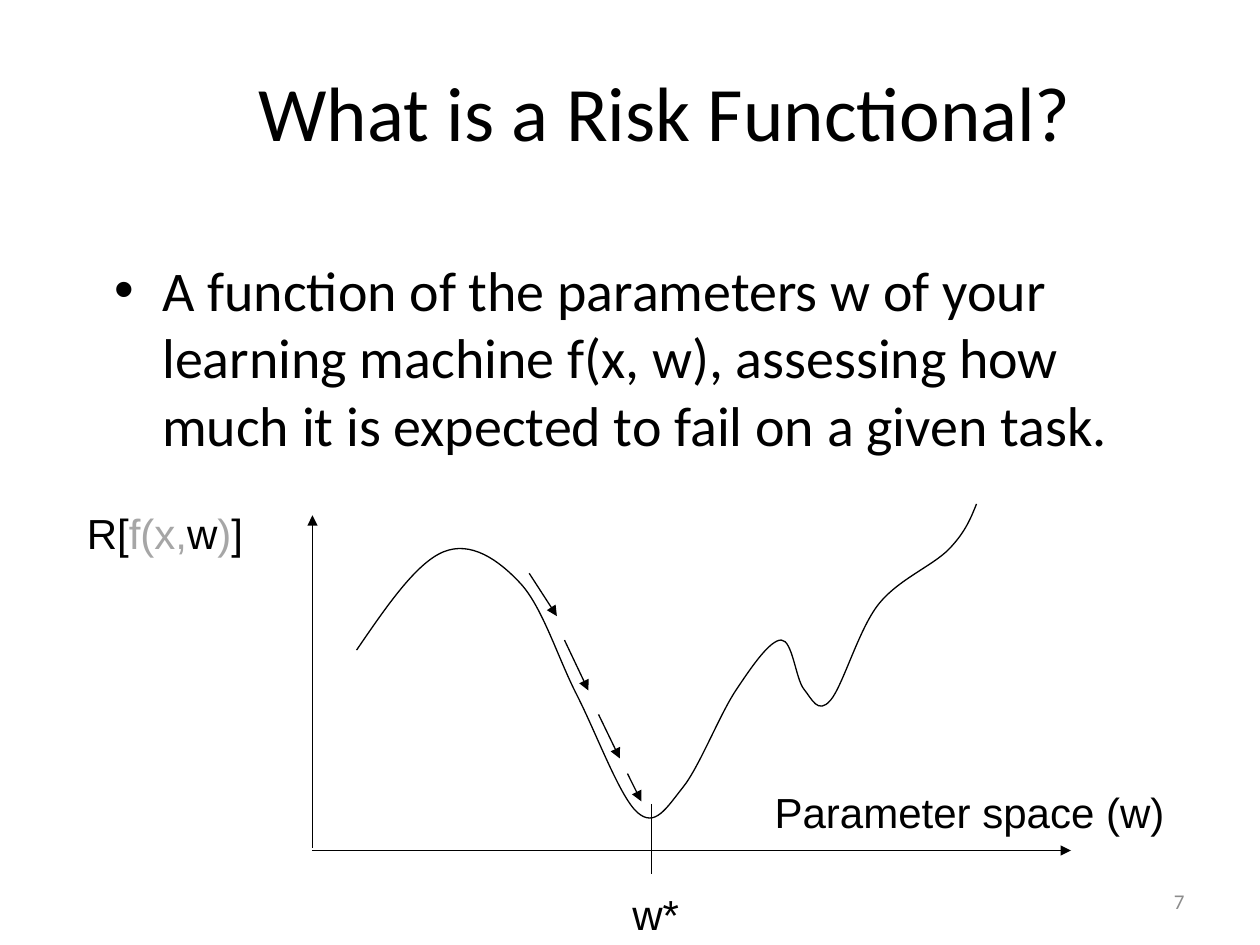
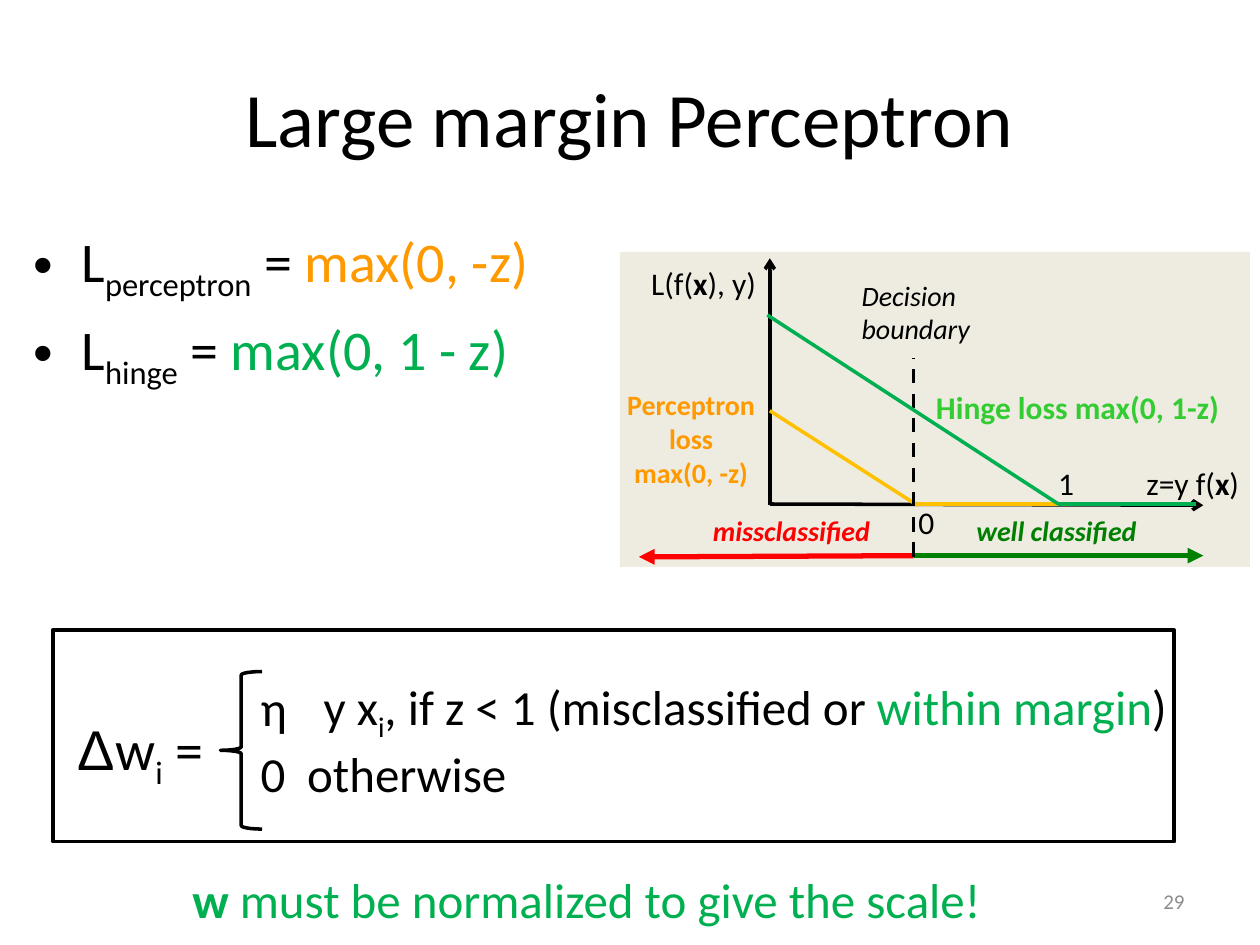
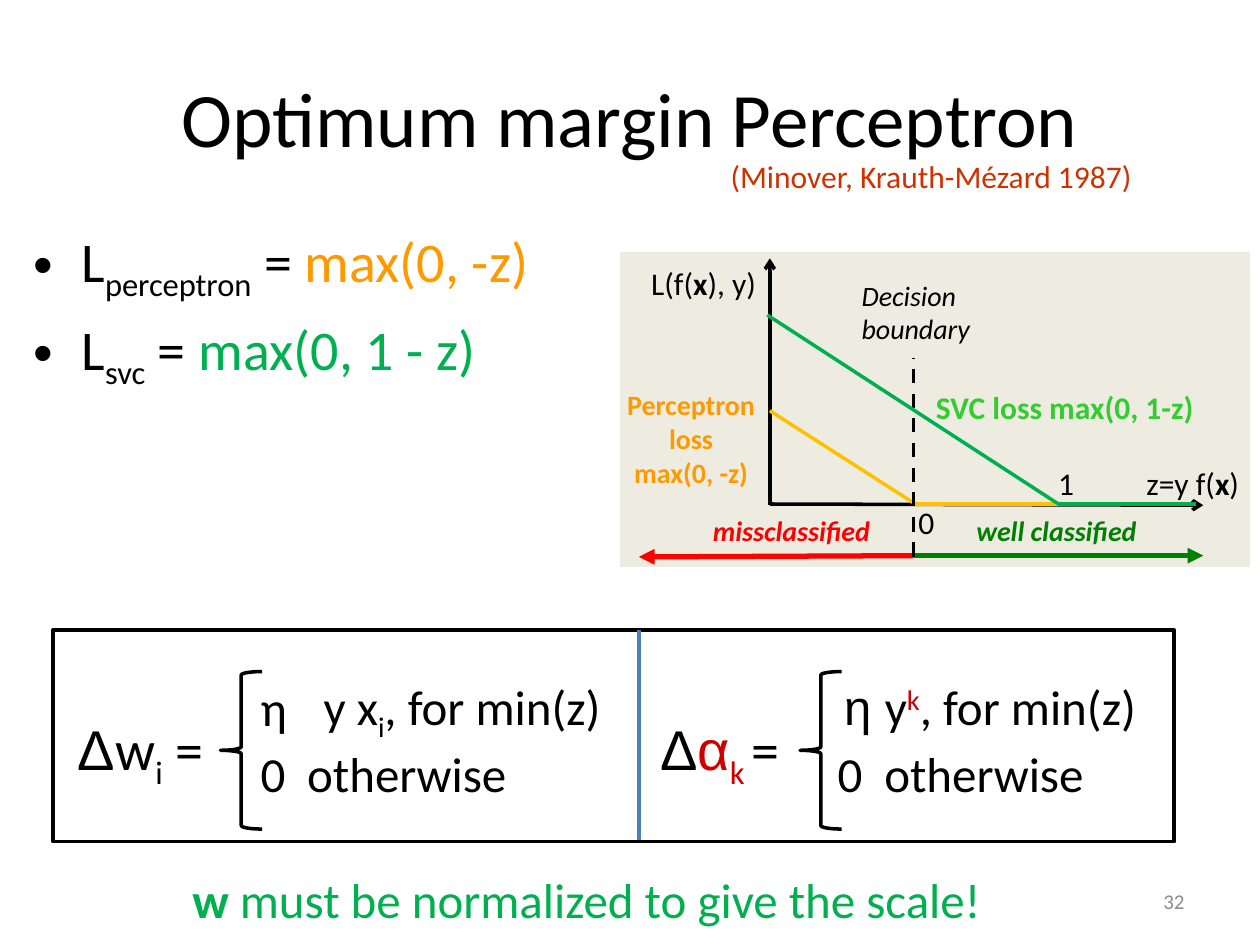
from itertools import pairwise

from lxml.etree import SubElement
from pptx import Presentation
from pptx.dml.color import RGBColor
from pptx.enum.dml import MSO_LINE
from pptx.enum.shapes import MSO_CONNECTOR, MSO_SHAPE
from pptx.enum.text import MSO_ANCHOR, PP_ALIGN
from pptx.oxml.ns import qn
from pptx.util import Inches, Pt

BLACK = RGBColor(0, 0, 0)
GRAY = RGBColor(0x8C, 0x8C, 0x8C)
PALE = RGBColor(0xA6, 0xA6, 0xA6)
CREAM = RGBColor(0xEE, 0xEC, 0xE1)
ORANGE = RGBColor(0xFF, 0x99, 0x00)
GOLD = RGBColor(0xFF, 0xC0, 0x00)
GREEN = RGBColor(0x00, 0xB0, 0x50)
LIME = RGBColor(0x33, 0xCC, 0x33)
FOREST = RGBColor(0x00, 0x80, 0x00)
RED = RGBColor(0xFF, 0, 0)
CRIMSON = RGBColor(0xCC, 0, 0)
RUST = RGBColor(0xCC, 0x33, 0)
BLUE = RGBColor(0x4B, 0x7E, 0xBC)
SANS = "Calibri"
PLAIN = "Arial"
KNOTS = [(2.83, 5.16), (3.52, 4.38), (4.13, 4.63), (4.58, 5.52),
         (5.06, 6.45), (5.42, 6.25), (5.84, 5.48), (6.2, 5.08),
         (6.38, 5.47), (6.59, 5.56), (6.97, 4.8), (7.53, 4.36), (7.75, 4)]
STEPS = [((4.2, 4.55), (4.42, 4.89)), ((4.48, 5.08), (4.67, 5.48)),
         ((4.75, 5.67), (4.92, 6.02)), ((4.98, 6.14), (5.09, 6.36))]


def tint(text, color):
    return text, {"color": color}


def bold(text):
    return text, {"bold": True}


def sub(text, color=None):
    return text, {"base": -25, "color": color}


def plain(text, color=None):
    return text, {"face": PLAIN, "color": color}


def style(font, size=None, color=None, face=None, bold=None, italic=None):
    if size:
        font.size = Pt(size)
    if color is not None:
        font.color.rgb = color
    if face:
        font.name = face
    if bold is not None:
        font.bold = bold
    if italic is not None:
        font.italic = italic


def fill_para(para, parts, align=PP_ALIGN.LEFT, **look):
    para.alignment = align
    style(para.font, **look)
    for part in [parts] if isinstance(parts, str) else parts:
        if part == "\n":
            para.add_line_break()
            continue
        text, extra = (part, {}) if isinstance(part, str) else part
        run = para.add_run()
        run.text = text
        style(run.font, **{k: v for k, v in extra.items() if k != "base"})
        if "base" in extra:
            run._r.get_or_add_rPr().set("baseline", str(extra["base"] * 1000))


def add_text(slide, place, *paras, size=18, color=BLACK, face=SANS,
             anchor=MSO_ANCHOR.TOP, **look):
    frame = slide.shapes.add_textbox(*map(Inches, place)).text_frame
    frame.word_wrap = True
    frame.vertical_anchor = anchor
    for i, parts in enumerate(paras):
        para = frame.add_paragraph() if i else frame.paragraphs[0]
        fill_para(para, parts, size=size, color=color, face=face, **look)
    return frame.paragraphs


def put(para, tag):
    props = para._p.get_or_add_pPr()
    item = SubElement(props, qn(tag))
    props.find(qn("a:defRPr")).addprevious(item)
    return item


def indent(para, left, hang, mark=None, face=PLAIN):
    props = para._p.get_or_add_pPr()
    props.set("marL", str(Inches(left)))
    props.set("indent", str(-Inches(hang)))
    if mark:
        put(para, "a:buFont").set("typeface", face)
        put(para, "a:buChar").set("char", mark)


def set_tabs(para, *stops):
    tabs = put(para, "a:tabLst")
    for stop in stops:
        tab = SubElement(tabs, qn("a:tab"))
        tab.set("pos", str(Inches(stop)))
        tab.set("algn", "l")


def set_list(paras):
    for para in paras:
        para.space_before = Pt(6.4)
        indent(para, 0.38, 0.38, "•")


def add_line(slide, start, end, color=BLACK, width=2, head=None, dash=False):
    link = slide.shapes.add_connector(
        MSO_CONNECTOR.STRAIGHT, *map(Inches, (*start, *end)))
    link.line.color.rgb = color
    link.line.width = Pt(width)
    if dash:
        link.line.dash_style = MSO_LINE.DASH
    if head:
        SubElement(link.line._get_or_add_ln(), qn("a:tailEnd")).set("type", head)
    SubElement(link._element.spPr, qn("a:effectLst"))


def add_form(slide, kind, place, fill=None, line=None):
    shape = slide.shapes.add_shape(kind, *map(Inches, place))
    paint(shape, fill, line)


def paint(shape, fill=None, line=None, width=2):
    shape.shadow.inherit = False
    if fill is None:
        shape.fill.background()
    else:
        shape.fill.solid()
        shape.fill.fore_color.rgb = fill
    if line is None:
        shape.line.fill.background()
    else:
        shape.line.color.rgb = line
        shape.line.width = Pt(width)


def slopes(vals):
    inner = [(c - a) / 2 for a, c in zip(vals, vals[2:])]
    first = 1.5 * (vals[1] - vals[0]) - inner[0] / 2
    last = 1.5 * (vals[-1] - vals[-2]) - inner[-1] / 2
    return [first, *inner, last]


def smooth(vals):
    points = [vals[0]]
    for (a, s), (b, t) in pairwise(zip(vals, slopes(vals))):
        points += [a + s / 3, b - t / 3, b]
    return points


def add_curve(slide, knots):
    xs, ys = map(smooth, zip(*knots))
    start, *rest = [(Inches(x), Inches(y)) for x, y in zip(xs, ys)]
    build = slide.shapes.build_freeform(*start)
    build.add_line_segments(rest, close=False)
    shape = build.convert_to_shape()
    legs = list(shape._element.iter(qn("a:lnTo")))
    for trio in zip(legs[::3], legs[1::3], legs[2::3]):
        trail = trio[0].getparent()
        bend = SubElement(trail, qn("a:cubicBezTo"))
        for leg in trio:
            bend.append(leg[0])
            trail.remove(leg)
    paint(shape, line=BLACK, width=0.75)


def add_page(deck, title, number, place=(0.5, 0.3, 9, 1.25)):
    slide = deck.slides.add_slide(deck.slide_layouts[5])
    head = slide.shapes.title
    head.left, head.top, head.width, head.height = map(Inches, place)
    head.text_frame.vertical_anchor = MSO_ANCHOR.MIDDLE
    fill_para(head.text_frame.paragraphs[0], title, PP_ALIGN.CENTER,
              size=44, color=BLACK, face=SANS)
    add_text(slide, (7.17, 6.95, 2.33, 0.4), str(number), size=12, color=GRAY,
             align=PP_ALIGN.RIGHT, anchor=MSO_ANCHOR.MIDDLE)
    return slide


def add_plot(slide, name, width):
    add_form(slide, MSO_SHAPE.RECTANGLE, (4.92, 2, 5, 2.5), fill=CREAM)
    add_text(slide, (9, 3.63, 1, 0.4), ["z=y f(", bold("x"), ")"])
    add_text(slide, (5.07, 2.05, 1.2, 0.4), ["L(f(", bold("x"), "), y)"])
    add_text(slide, (6.74, 2.16, 1.37, 0.64), "Decision boundary",
             size=16, italic=True)
    for text, left, span, tip, color in (
            ("well classified", 7.65, 1.84, (9.55, 4.41), FOREST),
            ("missclassified", 5.56, 1.69, (5.07, 4.42), RED)):
        add_line(slide, (7.25, 4.41), tip, color, 3, "triangle")
        add_text(slide, (left, 4.03, span, 0.37), text, size=16,
                 color=color, bold=True, italic=True)
    add_line(slide, (7.25, 4.42), (7.25, 4.15), dash=True)
    add_text(slide, (4.86, 3.03, 1.25, 0.91),
             ["Perceptron", "\n", "loss", "\n", "max(0, -z)"],
             size=16, color=ORANGE, bold=True, align=PP_ALIGN.CENTER)
    add_line(slide, (6.11, 4.01), (6.11, 2.05), head="arrow")
    add_line(slide, (6.11, 4), (9.55, 4.01), head="arrow")
    add_line(slide, (6.11, 3.26), (7.28, 4.01), GOLD)
    add_line(slide, (7.28, 4), (9.32, 4), GOLD)
    add_line(slide, (7.25, 4.41), (7.25, 2.84), dash=True)
    add_text(slide, (7.33, 3.03, width, 0.4), f"{name} loss max(0, 1-z)",
             color=LIME, bold=True)
    add_line(slide, (6.09, 2.5), (8.4, 4), GREEN)
    add_line(slide, (8.4, 4), (9.49, 4), GREEN)
    add_text(slide, (7.19, 3.94, 0.33, 0.4), "0")
    add_text(slide, (8.3, 3.63, 0.33, 0.4), "1")


def add_brace(slide, left):
    add_form(slide, MSO_SHAPE.LEFT_BRACE, (left, 5.33, 0.33, 1.25), line=BLACK)


def add_cases(slide, left, width, rule):
    top, rest = add_text(slide, (left, 5.32, width, 1.35),
                         rule, "0\totherwise", size=28)
    indent(rest, 0.37, 0.37)
    return top, rest


def add_margin(deck, title, number, short, name, width, rule, more=()):
    slide = add_page(deck, title, number)
    *items, term, note = add_text(
        slide, (0.17, 1.75, 8.97, 5.68),
        ["L", sub("perceptron"), " = ", tint("max(0, -z)", ORANGE)],
        ["L", sub(short), " = ", tint("max(0, 1 - z)", GREEN)],
        ["\t", plain("Δ"), "w", sub("i"), " =", *more],
        [bold("w"), " must be normalized to give the scale!"], size=32)
    set_list(items)
    term.space_before = Pt(185)
    set_tabs(term, 0.35, 4.97)
    note.space_before = Pt(45)
    note.alignment = PP_ALIGN.CENTER
    style(note.font, size=28, color=GREEN)
    add_brace(slide, 1.75)
    add_form(slide, MSO_SHAPE.RECTANGLE, (0.42, 5, 8.9, 1.68), line=BLACK)
    top, _ = add_cases(slide, 1.97, 7.53, ["y x", sub("i"), *rule])
    indent(top, 0.5, 0.5, "η", SANS)
    add_plot(slide, name, width)
    return slide


def add_risk(deck):
    slide = add_page(deck, "What is a Risk Functional?", 7, (1.03, 0.25, 8.5, 1.25))
    set_list(add_text(
        slide, (0.81, 1.98, 8.5, 4.5),
        "A function of the parameters w of your learning machine f(x, w), "
        "assessing how much it is expected to fail on a given task.", size=32))
    add_curve(slide, KNOTS)
    add_line(slide, (2.48, 6.73), (2.48, 4.09), width=0.75, head="triangle")
    add_line(slide, (2.48, 6.75), (8.5, 6.75), width=0.75, head="triangle")
    add_line(slide, (5.17, 6.38), (5.17, 6.94), width=0.75)
    for start, end in STEPS:
        add_line(slide, start, end, width=0.75, head="triangle")
    for place, parts in (
            ((6.05, 6.19, 3.44, 0.5), "Parameter space (w)"),
            ((0.59, 3.98, 2.08, 0.5),
             ["R[", tint("f(x,", PALE), "w", tint(")", PALE), "]"]),
            ((4.92, 7, 0.64, 0.5), "w*")):
        add_text(slide, place, parts, size=24, face=PLAIN)


def add_best(deck):
    slide = add_margin(
        deck, "Optimum margin Perceptron", 32, "svc", "SVC", 2.25,
        [", for min(z)"],
        ["\t", plain("Δ"), plain("α", CRIMSON), sub("k ", CRIMSON), "="])
    add_text(slide, (5.7, 1.2, 3.5, 0.4), "(Minover, Krauth-Mézard 1987)",
             color=RUST)
    add_line(slide, (5.07, 5), (5.07, 6.67), BLUE)
    add_brace(slide, 6.35)
    top, rest = add_cases(
        slide, 6.55, 2.75,
        [plain("η "), "y", ("k", {"base": 30, "color": CRIMSON}), ", for min(z)"])
    indent(top, 0.05, 0)
    rest.space_before = Pt(4.5)


def main():
    deck = Presentation()
    deck.slide_width, deck.slide_height = Inches(10), Inches(7.5)
    add_risk(deck)
    add_margin(deck, "Large margin Perceptron", 29, "hinge", "Hinge", 2.59,
               [", if z < 1 (misclassified or ", tint("within margin", GREEN), ")"])
    add_best(deck)
    deck.save("out.pptx")


if __name__ == "__main__":
    main()
